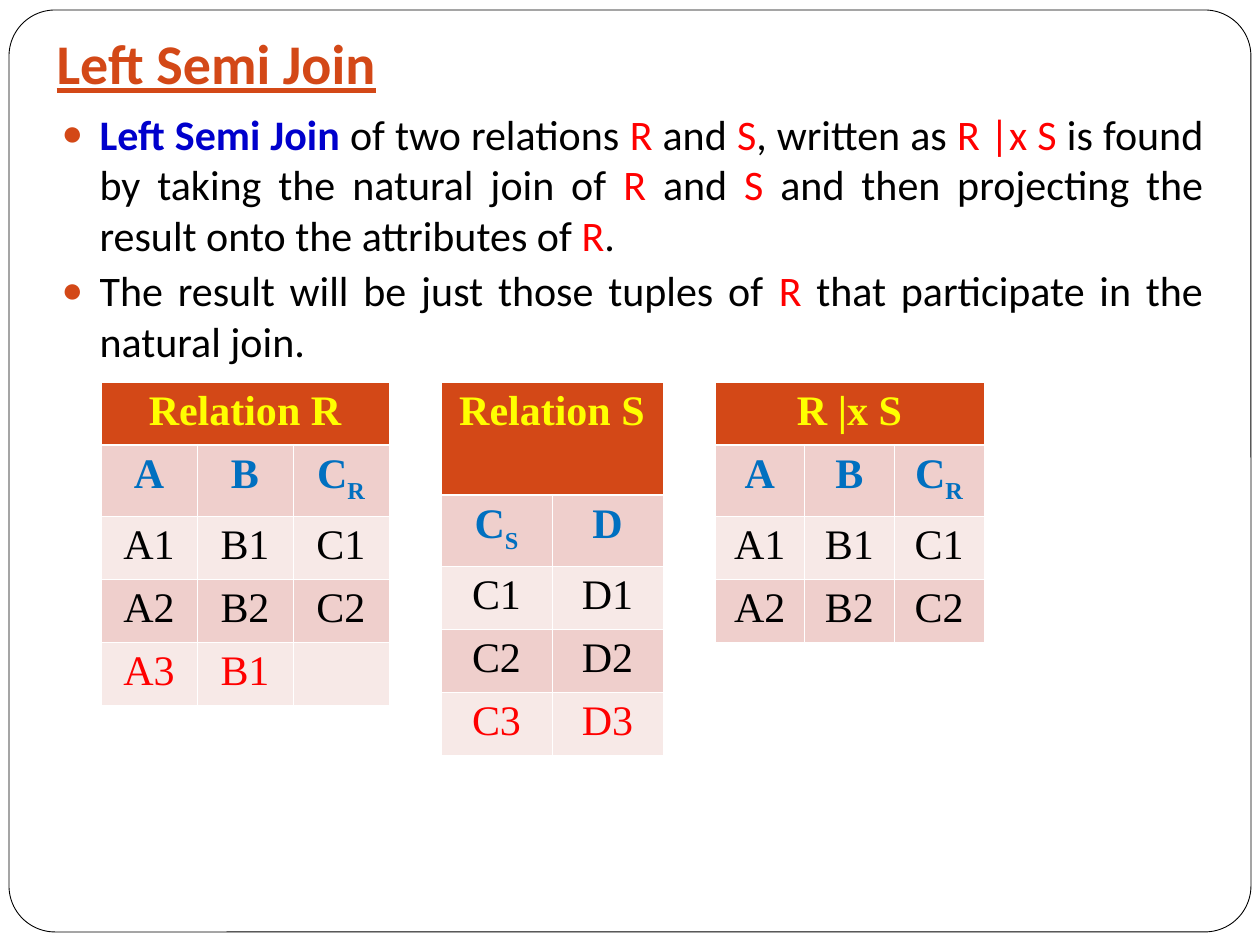
from lxml import etree
from pptx import Presentation
from pptx import util as u
from pptx.dml.color import RGBColor
from pptx.enum import shapes, text
from pptx.oxml import ns

PX = u.Inches(1) / 126
ORANGE = RGBColor(0xD3, 0x48, 0x17)
BLUE = RGBColor(0x00, 0x00, 0xCC)
SKY = RGBColor(0x00, 0x70, 0xC0)
RED = RGBColor(0xFF, 0x00, 0x00)
YELLOW = RGBColor(0xFF, 0xFF, 0x00)
BLACK = RGBColor(0x00, 0x00, 0x00)
WHITE = RGBColor(0xFF, 0xFF, 0xFF)
BAND = RGBColor(0xEF, 0xCF, 0xCC)
PALE = RGBColor(0xF7, 0xE9, 0xE7)

PLAIN = dict(color=BLACK)
RELATION = dict(color=RED)
TERM = dict(color=BLUE, bold=True)
HEADING = dict(color=YELLOW, bold=True)
COLUMN = dict(color=SKY, bold=True)

BULLETS = [
    [("Left Semi Join", TERM), (" of two relations ", PLAIN), ("R", RELATION),
     (" and ", PLAIN), ("S", RELATION), (", written as ", PLAIN),
     ("R |x S ", RELATION),
     ("is found by taking the natural join of ", PLAIN), ("R", RELATION),
     (" and ", PLAIN), ("S", RELATION),
     (" and then projecting the result onto the attributes of ", PLAIN),
     ("R", RELATION), (". ", PLAIN)],
    [("The result will be just those tuples of ", PLAIN), ("R", RELATION),
     (" that participate in the natural join.", PLAIN)],
]
MATCHED = [["A1", "B1", "C1"], ["A2", "B2", "C2"]]
TABLES = [
    dict(box=(101, 382, 288), heading="Relation R", heading_height=63,
         columns=["A", "B", "C_R"], rows=MATCHED + [["A3", "B1", ""]],
         unmatched="A3"),
    dict(box=(441, 382, 222), heading="Relation S", heading_height=113,
         columns=["C_S", "D"],
         rows=[["C1", "D1"], ["C2", "D2"], ["C3", "D3"]], unmatched="C3"),
    dict(box=(715, 382, 269), heading="R |x S", heading_height=63,
         columns=["A", "B", "C_R"], rows=MATCHED, unmatched=None),
]


def px(n):
    return u.Emu(round(n * PX))


def place(shape, box):
    for name, value in zip(("left", "top", "width", "height"), box):
        setattr(shape, name, px(value))


def add_run(p, words, color, size=24, **fmt):
    r = p.add_run()
    r.text = words
    r.font.size = u.Pt(size)
    r.font.color.rgb = color
    for name, value in (dict(name="Calibri", bold=False) | fmt).items():
        setattr(r.font, name, value)
    return r


def add_child(parent, tag, **attrs):
    return etree.SubElement(parent, ns.qn(tag), attrs)


def add_frame(s, box):
    frame = s.shapes.add_shape(shapes.MSO_SHAPE.ROUNDED_RECTANGLE, 0, 0, 0, 0)
    place(frame, box)
    frame.adjustments[0] = 0.05
    frame.shadow.inherit = False
    frame.fill.solid()
    frame.fill.fore_color.rgb = WHITE
    frame.line.color.rgb = BLACK
    frame.line.width = u.Pt(0.5)
    s.shapes._spTree.insert(2, frame._element)


def add_title(s, box):
    title = s.shapes.title
    place(title, box)
    tf = title.text_frame
    settings = dict(vertical_anchor=text.MSO_ANCHOR.BOTTOM,
                    auto_size=text.MSO_AUTO_SIZE.NONE, word_wrap=True,
                    margin_bottom=px(12))
    for name, value in settings.items():
        setattr(tf, name, value)
    p = tf.paragraphs[0]
    p.alignment = text.PP_ALIGN.LEFT
    add_run(p, "Left Semi Join", ORANGE, 32, bold=True, underline=True)


def add_bullets(s, box):
    body = s.placeholders[1]
    place(body, box)
    tf = body.text_frame
    tf.auto_size = text.MSO_AUTO_SIZE.NONE
    for i, segments in enumerate(BULLETS):
        p = tf.add_paragraph() if i else tf.paragraphs[0]
        p.alignment = text.PP_ALIGN.JUSTIFY
        p.space_before = u.Pt(0)
        p.space_after = u.Pt(3)
        pPr = p._p.get_or_add_pPr()
        pPr.set("marL", str(px(38)))
        pPr.set("indent", str(-px(38)))
        add_child(add_child(pPr, "a:buClr"), "a:srgbClr", val=str(ORANGE))
        add_child(pPr, "a:buSzPct", val="85000")
        add_child(pPr, "a:buChar", char="●")
        for words, fmt in segments:
            add_run(p, words, **fmt)


def add_border(cell, side, width):
    line = add_child(cell._tc.get_or_add_tcPr(), f"a:ln{side}",
                     w=str(u.Pt(width)))
    add_child(add_child(line, "a:solidFill"), "a:srgbClr", val=str(WHITE))


def fill_cell(cell, words, fill, fmt, widths):
    for side, width in zip("LRTB", widths):
        add_border(cell, side, width)
    cell.fill.solid()
    cell.fill.fore_color.rgb = fill
    p = cell.text_frame.paragraphs[0]
    p.alignment = text.PP_ALIGN.CENTER
    base, _, subscript = words.partition("_")
    if base:
        add_run(p, base, name="Times New Roman", **fmt)
    if subscript:
        r = add_run(p, subscript, name="Times New Roman", **fmt)
        r.font._element.set("baseline", "-25000")


def add_relation(s, box, heading, heading_height, columns, rows, unmatched):
    left, top, width = box
    heights = [heading_height, 71] + [63] * len(rows)
    table = s.shapes.add_table(len(heights), len(columns), px(left), px(top),
                               px(width), px(sum(heights))).table
    table.first_row = table.horz_banding = False
    for column in table.columns:
        column.width = px(width / len(columns))
    table.cell(0, 0).merge(table.cell(0, len(columns) - 1))
    grid = [[heading] + [""] * (len(columns) - 1), columns] + rows
    for i, (values, height) in enumerate(zip(grid, heights)):
        table.rows[i].height = px(height)
        fill = ORANGE if i == 0 else BAND if i % 2 else PALE
        data = RELATION if values[0] == unmatched else PLAIN
        fmt = (HEADING, COLUMN)[i] if i < 2 else data
        widths = (0.45, 0.45, 1.47 if i == 1 else 0.45, 1.47 if i == 0 else 0.45)
        for j, words in enumerate(values):
            fill_cell(table.cell(i, j), words, fill, fmt, widths)


def main():
    prs = Presentation()
    prs.slide_width, prs.slide_height = px(1260), px(945)
    s = prs.slides.add_slide(prs.slide_layouts[1])
    add_frame(s, (9, 10, 1242, 922))
    add_title(s, (44, 35, 1081, 73))
    add_bullets(s, (49, 102, 1167, 599))
    for relation in TABLES:
        add_relation(s, **relation)
    prs.save("out.pptx")


if __name__ == "__main__":
    main()
